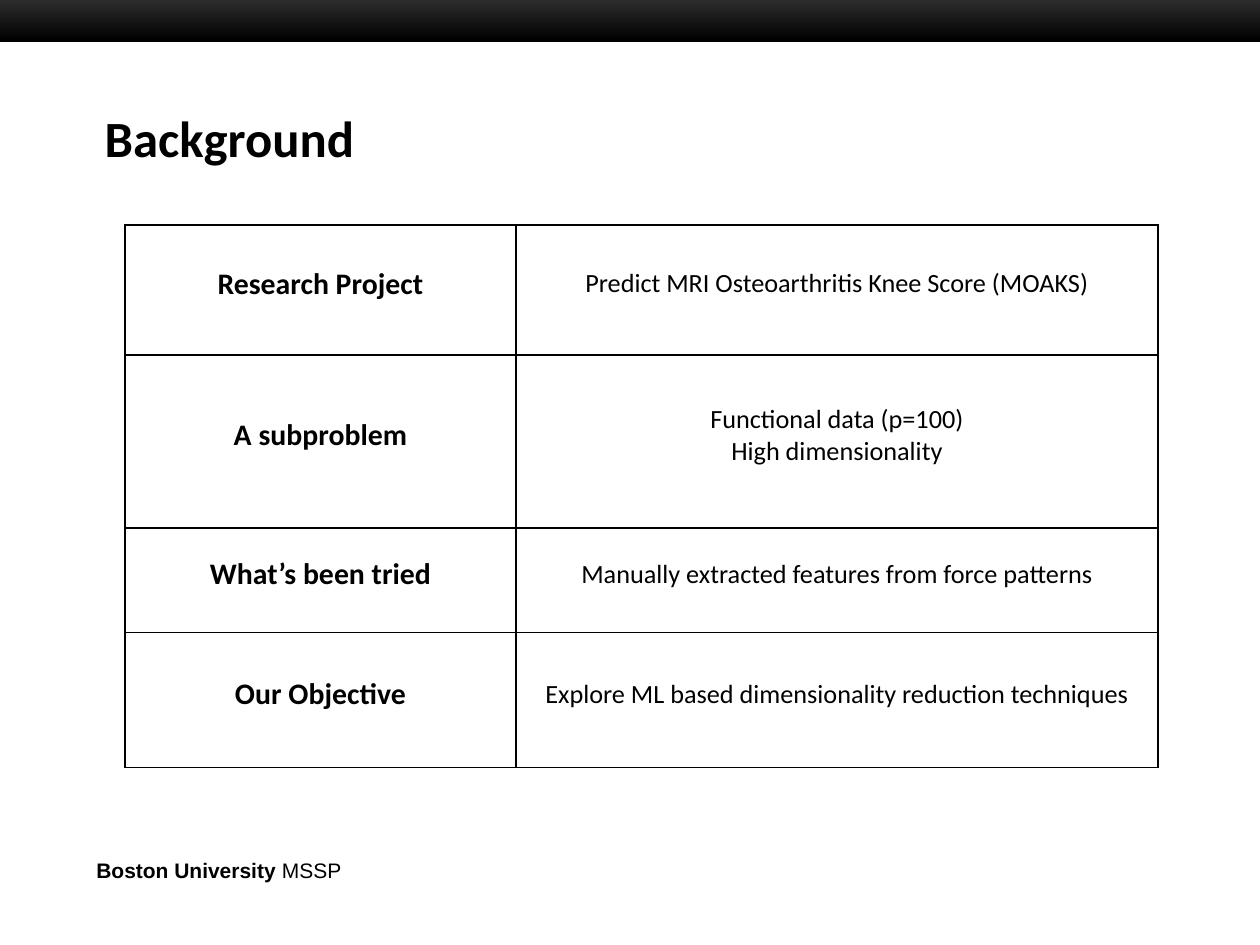
from dataclasses import dataclass

from lxml.etree import SubElement
from pptx import Presentation
from pptx.dml.color import RGBColor
from pptx.enum.shapes import MSO_SHAPE
from pptx.enum.text import MSO_ANCHOR, MSO_AUTO_SIZE, PP_ALIGN
from pptx.oxml.ns import qn
from pptx.util import Pt

TITLE = "Background"
FOOTER = [("Boston University ", True), ("MSSP", False)]
ROWS = [
    ("Research Project", "Predict MRI Osteoarthritis Knee Score (MOAKS)"),
    ("A subproblem", "Functional data (p=100)\vHigh dimensionality"),
    ("What’s been tried", "Manually extracted features from force patterns"),
    ("Our Objective", "Explore ML based dimensionality reduction techniques"),
]

# Lengths in px, 126 to the inch
SLIDE = (1260, 945)
BAR_BOX = (0, -6, 1260, 48)
TITLE_BOX = (92, 100, 750, 66)
FOOTER_BOX = (84, 851, 643, 38)
TABLE_AT = (125, 225)
COLUMN_WIDTHS = (391, 642)
ROW_HEIGHTS = (130, 173, 105, 135)
CELL_MARGIN, CELL_BOTTOM_MARGIN = 1, 13


@dataclass(frozen=True)
class Theme:
    ink: str = "000000"
    bar_top: str = "333333"
    font: str = "Calibri"
    footer_font: str = "Arial"
    title_size: int = 29
    label_size: int = 17
    detail_size: int = 15
    footer_size: int = 12
    border: float = 0.75


THEME = Theme()


def px(length):
    return round(length * 914400 / 126)


def place(box):
    return [px(length) for length in box]


def style(run, size, bold, font=THEME.font):
    run.font.name = font
    run.font.size = Pt(size)
    run.font.bold = bold
    run.font.color.rgb = RGBColor.from_string(THEME.ink)


def add_borders(cell):
    """Outline all four sides; lines must precede the fill in the cell XML."""
    properties = cell._tc.get_or_add_tcPr()
    for position, side in enumerate(("a:lnL", "a:lnR", "a:lnT", "a:lnB")):
        line = SubElement(properties, qn(side), w=str(Pt(THEME.border)))
        properties.insert(position, line)
        SubElement(SubElement(line, qn("a:solidFill")), qn("a:srgbClr"), val=THEME.ink)


def add_bar(slide):
    bar = slide.shapes.add_shape(MSO_SHAPE.RECTANGLE, *place(BAR_BOX))
    bar.shadow.inherit = False
    bar.line.fill.background()
    bar.fill.gradient()
    bar.fill.gradient_angle = 270
    for stop, color in zip(bar.fill.gradient_stops, (THEME.bar_top, THEME.ink)):
        stop.color.rgb = RGBColor.from_string(color)


def add_title(slide):
    title = slide.shapes.title
    title.left, title.top, title.width, title.height = place(TITLE_BOX)
    frame = title.text_frame
    frame.text = TITLE
    frame.auto_size = MSO_AUTO_SIZE.NONE
    frame.vertical_anchor = MSO_ANCHOR.TOP
    heading = frame.paragraphs[0]
    heading.alignment = PP_ALIGN.LEFT
    style(heading.runs[0], THEME.title_size, True)


def add_footer(slide):
    frame = slide.shapes.add_textbox(*place(FOOTER_BOX)).text_frame
    frame.word_wrap = True
    for words, bold in FOOTER:
        run = frame.paragraphs[0].add_run()
        run.text = words
        style(run, THEME.footer_size, bold, THEME.footer_font)


def fill_cell(cell, words, size, bold):
    cell.fill.background()
    add_borders(cell)
    cell.vertical_anchor = MSO_ANCHOR.MIDDLE
    cell.margin_left = cell.margin_right = cell.margin_top = px(CELL_MARGIN)
    cell.margin_bottom = px(CELL_BOTTOM_MARGIN)
    paragraph = cell.text_frame.paragraphs[0]
    paragraph.text = words
    paragraph.alignment = PP_ALIGN.CENTER
    for run in paragraph.runs:
        style(run, size, bold)


def add_summary_table(slide):
    box = (*TABLE_AT, sum(COLUMN_WIDTHS), sum(ROW_HEIGHTS))
    table = slide.shapes.add_table(len(ROWS), len(COLUMN_WIDTHS), *place(box)).table
    table.first_row = table.horz_banding = False
    for column, width in zip(table.columns, COLUMN_WIDTHS):
        column.width = px(width)
    for row, height, (label, detail) in zip(table.rows, ROW_HEIGHTS, ROWS):
        row.height = px(height)
        fill_cell(row.cells[0], label, THEME.label_size, True)
        fill_cell(row.cells[1], detail, THEME.detail_size, False)


def main():
    deck = Presentation()
    deck.slide_width, deck.slide_height = place(SLIDE)
    slide = deck.slides.add_slide(deck.slide_layouts[5])
    add_bar(slide)
    add_footer(slide)
    add_title(slide)
    add_summary_table(slide)
    deck.save("out.pptx")


if __name__ == "__main__":
    main()
